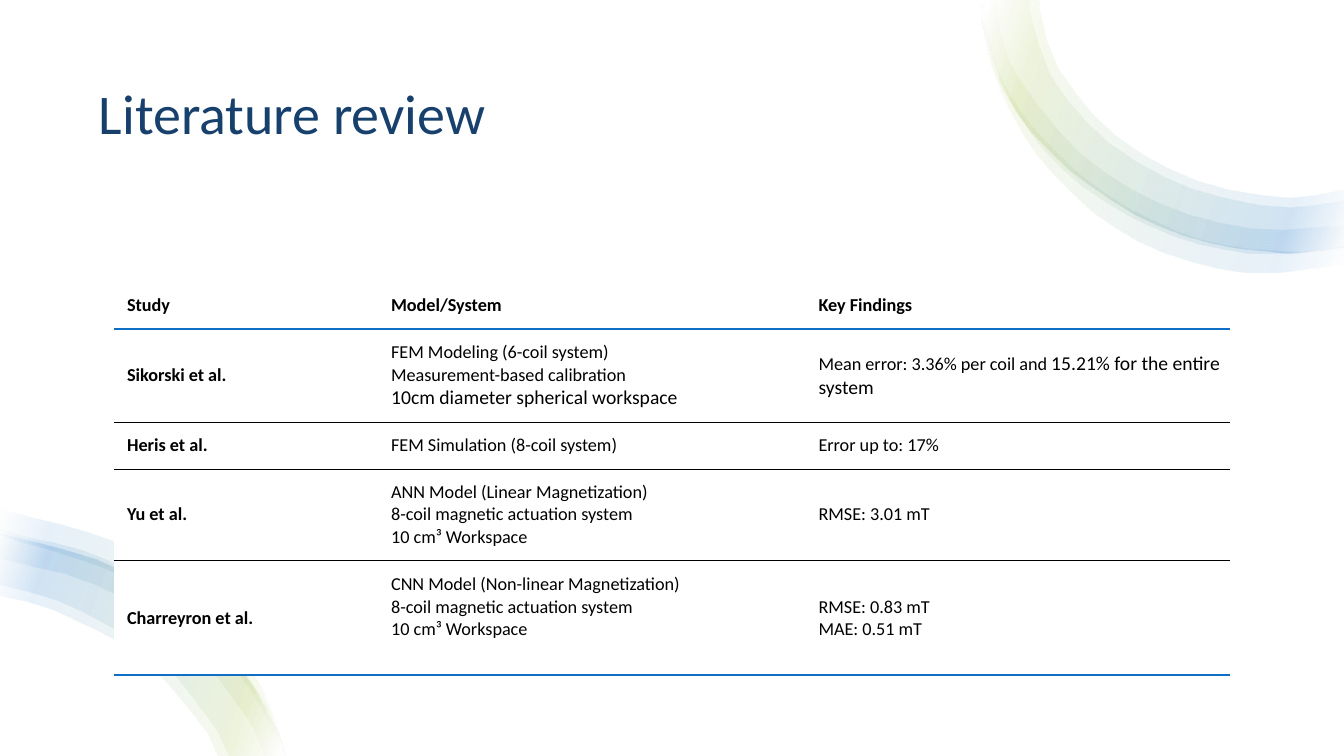
import math

import pptx
import pptx.dml.color
import pptx.enum.shapes
import pptx.enum.text
import pptx.oxml
import pptx.oxml.ns
import pptx.util

Pt = pptx.util.Pt
COLORS = {"white": "FFFFFF", "black": "000000", "navy": "17406D",
          "blue": "0F6FC6", "green": "A5C249"}
SWIRL_STOPS = [(2, "white"), (16, "green"), (85, "blue"), (100, "white")]

TOP_EDGE = [(701, -1), (701, 14), (726, 80), (778, 132), (845, 168), (921, 181), (960, 176)]
LOW_EDGE = [(203, 540), (199, 526), (169, 474), (125, 432), (69, 400), (0, 382)]
TOP_BANDS = [
    (TOP_EDGE,
     [(742, -1), (743, 9), (756, 49), (796, 96), (855, 129), (921, 141), (960, 135)]),
    (TOP_EDGE,
     [(735, -1), (736, 10), (750, 53), (792, 102), (852, 135), (921, 148), (960, 143)]),
    ([(701, -1), (704, 31), (716, 64), (759, 121), (820, 161), (892, 181), (960, 177)],
     [(712, -1), (716, 28), (729, 58), (771, 109), (828, 145), (894, 163), (960, 161)]),
    ([(699, -1), (714, 63), (753, 125), (814, 173), (890, 195), (960, 189)],
     [(701, -1), (712, 48), (738, 91), (791, 139), (857, 171), (929, 180), (960, 176)]),
]
LOW_BANDS = [
    ([(205, 540), (195, 510), (176, 473), (120, 410), (83, 387), (0, 363)],
     [(201, 540), (190, 512), (168, 478), (109, 425), (73, 405), (0, 382)]),
    (LOW_EDGE, [(155, 540), (148, 524), (103, 472), (38, 436), (0, 426)]),
    ([(204, 540), (193, 508), (144, 445), (76, 400), (0, 379)],
     [(189, 540), (178, 515), (131, 458), (68, 418), (0, 399)]),
    (LOW_EDGE, [(163, 540), (154, 521), (108, 467), (40, 429), (0, 418)]),
]

COIL_SYSTEM = "8-coil magnetic actuation system\n10 cm³ Workspace"
STUDIES = [
    ["Study", "Model/System", "Key Findings"],
    ["Sikorski et al.",
     [["FEM Modeling (6-coil system)\nMeasurement-based calibration"],
      [("10cm diameter spherical workspace", 14)]],
     [["Mean error: 3.36% per coil and ", ("15.21% for the entire system", 14)]]],
    ["Heris et al.", "FEM Simulation (8-coil system)", "Error up to: 17%"],
    ["Yu et al.", [["ANN Model (Linear Magnetization)"], [COIL_SYSTEM]], "RMSE: 3.01 mT"],
    ["Charreyron et al.", [["CNN Model (Non-linear Magnetization)"], [COIL_SYSTEM]],
     "RMSE: 0.83 mT\nMAE: 0.51 mT"],
]
COLUMN_WIDTHS = [188.6, 305.3, 303.1]
ROW_HEIGHTS = [33.1, 67, 33.1, 65.5, 82]
RULES = [None, ("blue", 1.5), ("black", 0.25), ("black", 0.25),
         ("black", 0.25), ("blue", 1.5)]


def rgb(name):
    return pptx.dml.color.RGBColor.from_string(COLORS[name])


def smooth(points, spacing=24):
    """Return points along a smooth curve through the given ones."""
    slopes = []
    for i in range(len(points)):
        before, after = max(i - 1, 0), min(i + 1, len(points) - 1)
        length = sum(math.dist(points[k], points[k + 1]) for k in range(before, after))
        slopes.append([(b - a) / length for a, b in zip(points[before], points[after])])
    curve = [points[0]]
    for start, end, leave, arrive in zip(points, points[1:], slopes, slopes[1:]):
        reach = math.dist(start, end)
        steps = math.ceil(reach / spacing)
        for step in range(1, steps + 1):
            t = step / steps
            blend = t * t * (3 - 2 * t)
            curve.append(tuple(
                a + (b - a) * blend + reach * t * (1 - t) * (u * (1 - t) - v * t)
                for a, b, u, v in zip(start, end, leave, arrive)))
    return curve


def add_text(para, text, size=13, color="black", bold=False):
    """Add text to a paragraph, with a line break at each newline."""
    for number, line in enumerate(text.split("\n")):
        if number:
            para.add_line_break()
        span = para.add_run()
        span.text = line
        span.font.name = SlideBuilder.font
        span.font.size = Pt(size)
        span.font.bold = bold
        span.font.color.rgb = rgb(color)


class SlideBuilder:
    """Hold the style and the current slide."""

    font = "Calibri"

    def __init__(self, deck):
        self.page = deck.slides.add_slide(deck.slide_layouts[5])
        self.shapes = self.page.shapes

    def backdrop(self, width, height):
        box = self.shapes.add_shape(
            pptx.enum.shapes.MSO_SHAPE.RECTANGLE, 0, 0, Pt(width), Pt(height))
        box.shadow.inherit = False
        box.fill.solid()
        box.fill.fore_color.rgb = rgb("white")
        box.line.fill.background()

    def title(self, text, left, top, width, height):
        box = self.shapes.title
        self.shapes._spTree.append(box._element)
        box.left, box.top, box.width, box.height = map(Pt, (left, top, width, height))
        box.text_frame.vertical_anchor = pptx.enum.text.MSO_ANCHOR.MIDDLE
        para = box.text_frame.paragraphs[0]
        para.alignment = pptx.enum.text.PP_ALIGN.LEFT
        para.line_spacing = 0.9
        add_text(para, text, size=40, color="navy")

    def swirl(self, bands, angle):
        stops = "".join(
            f'<a:gs pos="{place * 1000}"><a:srgbClr val="{COLORS[name]}">'
            f'<a:alpha val="10000"/></a:srgbClr></a:gs>' for place, name in SWIRL_STOPS)
        for outer, inner in bands:
            outline = smooth(outer) + smooth(inner)[::-1]
            builder = self.shapes.build_freeform(*outline[0], scale=Pt(1))
            builder.add_line_segments(outline[1:], close=True)
            band = builder.convert_to_shape()
            band.shadow.inherit = False
            band.line.fill.background()
            band.fill.background()
            blank = band._element.spPr.find(pptx.oxml.ns.qn("a:noFill"))
            blank.getparent().replace(blank, pptx.oxml.parse_xml(
                f'<a:gradFill {pptx.oxml.ns.nsdecls("a")} rotWithShape="1"><a:gsLst>{stops}'
                f'</a:gsLst><a:lin ang="{angle * 60000}" scaled="0"/></a:gradFill>'))

    def borders(self, cell, above, below):
        sides = [("lnL", None), ("lnR", None), ("lnT", above), ("lnB", below)]
        for place, (tag, rule) in enumerate(sides):
            color, weight = rule or ("white", 0)
            paint = (f'<a:solidFill><a:srgbClr val="{COLORS[color]}"/></a:solidFill>'
                     if rule else "<a:noFill/>")
            cell._tc.get_or_add_tcPr().insert(place, pptx.oxml.parse_xml(
                f'<a:{tag} {pptx.oxml.ns.nsdecls("a")} w="{Pt(weight)}">{paint}</a:{tag}>'))

    def table(self, rows, left, top):
        table = self.shapes.add_table(
            len(rows), len(COLUMN_WIDTHS), Pt(left), Pt(top),
            Pt(sum(COLUMN_WIDTHS)), Pt(sum(ROW_HEIGHTS))).table
        table.first_row = table.horz_banding = False
        for column, width in zip(table.columns, COLUMN_WIDTHS):
            column.width = Pt(width)
        for r, row in enumerate(rows):
            table.rows[r].height = Pt(ROW_HEIGHTS[r])
            for c, content in enumerate(row):
                cell = table.cell(r, c)
                self.fill_cell(cell, content, bold=r == 0 or c == 0)
                self.borders(cell, RULES[r], RULES[r + 1])
        return table

    def fill_cell(self, cell, content, bold):
        cell.fill.solid()
        cell.fill.fore_color.rgb = rgb("white")
        cell.vertical_anchor = pptx.enum.text.MSO_ANCHOR.MIDDLE
        cell.margin_left, cell.margin_right = Pt(9.4), Pt(5.8)
        cell.margin_top = cell.margin_bottom = Pt(7.2)
        paragraphs = [[content]] if isinstance(content, str) else content
        for number, spans in enumerate(paragraphs):
            frame = cell.text_frame
            para = frame.add_paragraph() if number else frame.paragraphs[0]
            for span in spans:
                text, size = (span, 13) if isinstance(span, str) else span
                add_text(para, text, size=size, bold=bold)


def main():
    deck = pptx.Presentation()
    deck.slide_width, deck.slide_height = Pt(960), Pt(540)
    slide = SlideBuilder(deck)
    slide.backdrop(960, 540)
    slide.title("Literature review", 63.4, 36, 833, 93.6)
    slide.swirl(TOP_BANDS, angle=20)
    slide.swirl(LOW_BANDS, angle=200)
    studies = slide.table(STUDIES, 81.4, 201.8)
    studies.cell(4, 1).margin_bottom = Pt(23)
    deck.save("out.pptx")


if __name__ == "__main__":
    main()
